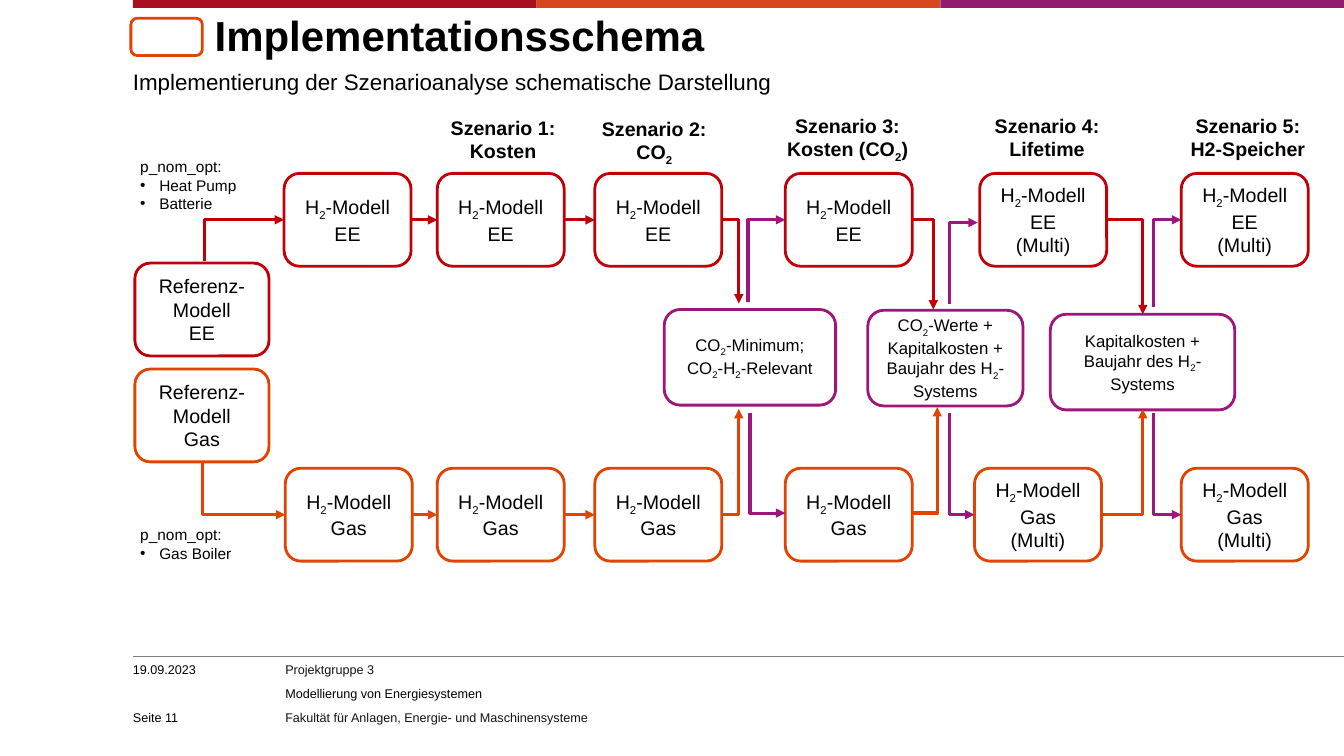
from lxml.etree import SubElement
from pptx import Presentation
from pptx.dml.color import RGBColor
from pptx.enum.shapes import MSO_CONNECTOR, MSO_SHAPE
from pptx.enum.text import MSO_ANCHOR, MSO_AUTO_SIZE, PP_ALIGN
from pptx.oxml.ns import qn
from pptx.util import Cm, Pt

COLORS = {
    "ee": "C00009", "gas": "E24300", "exchange": "9D167A",
    "strip_red": "AA0F1F", "strip_orange": "D7471F", "strip_purple": "901B6E",
    "rule": "808080", "white": "FFFFFF", "black": "000000", "footer": "141313",
}
FONT = "Arial"
PAGE_WIDTH, PAGE_HEIGHT, MARGIN = 33.87, 19.05, 3.35
MODEL_WIDTH, MODEL_HEIGHT = 3.2, 2.34
COLUMNS = [7.16, 11.02, 14.99, 19.79, 24.69, 29.77]
GAS_COLUMNS = [7.19, 11.02, 14.99, 19.79, 24.56, 29.77]
EE_TOP, GAS_TOP = 4.37, 11.8
EE_MIDDLE, GAS_MIDDLE = EE_TOP + MODEL_HEIGHT / 2, GAS_TOP + MODEL_HEIGHT / 2
LEFT_SIDE, RIGHT_SIDE = 1, 3

HEADINGS = [
    (10.9, 2.79, 3.56, ["Szenario 1:", "Kosten"]),
    (14.71, 2.82, 3.56, ["Szenario 2:", "CO₂"]),
    (19.2, 2.74, 4.32, ["Szenario 3:", "Kosten (CO₂)"]),
    (24.61, 2.74, 3.56, ["Szenario 4:", "Lifetime"]),
    (29.57, 2.74, 3.76, ["Szenario 5:", "H2-Speicher"]),
]
EXCHANGES = [
    (16.74, 7.8, 4.32, ["CO₂-Minimum; CO₂-H₂-Relevant"]),
    (21.87, 7.82, 3.91, ["CO₂-Werte +", "Kapitalkosten + Baujahr des H₂-Systems"]),
    (26.47, 7.92, 4.65, ["Kapitalkosten + Baujahr des H₂-Systems"]),
]
# From a model sideways, then up or down to an exchange box
INPUTS = [
    ("ee", (18.19, EE_MIDDLE), (18.62, 7.65)),
    ("gas", (18.19, GAS_MIDDLE), (18.62, 10.31)),
    ("ee", (22.99, EE_MIDDLE), (23.52, 7.8)),
    ("gas", (22.99, 12.93), (23.62, 10.26)),
    ("ee", (27.89, EE_MIDDLE), (28.8, 7.92)),
    ("gas", (27.74, GAS_MIDDLE), (28.8, 10.31)),
]
# Up or down first, then sideways into a model
OUTPUTS = [
    ("ee", (5.16, 6.58), (7.16, EE_MIDDLE)),
    ("gas", (5.11, 11.63), (7.19, GAS_MIDDLE)),
    ("exchange", (18.85, 7.62), (19.79, EE_MIDDLE)),
    ("exchange", (18.9, 10.41), (19.79, 12.93)),
    ("exchange", (23.93, 7.67), (24.64, 5.61)),
    ("exchange", (23.93, 10.41), (24.56, GAS_MIDDLE)),
    ("exchange", (29.08, 7.75), (29.77, EE_MIDDLE)),
    ("exchange", (29.08, 10.41), (29.77, GAS_MIDDLE)),
]


def rgb(name):
    return RGBColor.from_string(COLORS[name])


def place(shape, left, top, width, height):
    shape.left, shape.top = Cm(left), Cm(top)
    shape.width, shape.height = Cm(width), Cm(height)


def add_run(para, text, size, bold, color):
    span = para.add_run()
    span.text = text
    span.font.name, span.font.size, span.font.bold = FONT, Pt(size), bold
    span.font.color.rgb = rgb(color)
    return span


def write(frame, lines, size, align=PP_ALIGN.LEFT, bold=False, color="black"):
    """Write one paragraph per line; each ₂ becomes a lowered 2."""
    for number, line in enumerate(lines):
        para = frame.add_paragraph() if number else frame.paragraphs[0]
        para.alignment = align
        for index, part in enumerate(line.split("₂")):
            if index:
                lowered = add_run(para, "2", size, bold, color)
                lowered.font._element.set("baseline", "-25000")
            if part:
                add_run(para, part, size, bold, color)


def clear_margins(frame):
    frame.margin_left = frame.margin_right = frame.margin_top = frame.margin_bottom = 0


def add_text(page, left, top, width, height, lines, size, wrap=True, margins=True, **style):
    box = page.shapes.add_textbox(Cm(left), Cm(top), Cm(width), Cm(height))
    box.text_frame.word_wrap = wrap
    if not margins:
        clear_margins(box.text_frame)
    write(box.text_frame, lines, size, **style)
    return box


def add_strip(page, left, width, color):
    strip = page.shapes.add_shape(MSO_SHAPE.RECTANGLE, Cm(left), 0, Cm(width), Cm(0.2))
    strip.shadow.inherit = False
    strip.fill.solid()
    strip.fill.fore_color.rgb = rgb(color)
    strip.line.fill.background()


def add_box(page, left, top, width, height, color, lines=(), size=14):
    box = page.shapes.add_shape(
        MSO_SHAPE.ROUNDED_RECTANGLE, Cm(left), Cm(top), Cm(width), Cm(height))
    box.shadow.inherit = False
    box.fill.solid()
    box.fill.fore_color.rgb = rgb("white")
    box.line.color.rgb = rgb(color)
    box.line.width = Pt(2)
    box.text_frame.word_wrap = True
    box.text_frame.vertical_anchor = MSO_ANCHOR.MIDDLE
    write(box.text_frame, lines, size, PP_ALIGN.CENTER)
    return box


def add_line(page, start, end, color, width, kind=MSO_CONNECTOR.STRAIGHT, arrow=True):
    line = page.shapes.add_connector(kind, *(Cm(value) for value in start + end))
    line.line.color.rgb = rgb(color)
    line.line.width = Pt(width)
    if arrow:
        SubElement(line.line._get_or_add_ln(), qn("a:tailEnd"), type="triangle")
    SubElement(line._element.spPr, qn("a:effectLst"))
    return line


def add_bend(page, start, end, color, vertical_first=False):
    """Draw an arrow with a single right-angled corner."""
    line = add_line(page, start, end, color, 2.25, MSO_CONNECTOR.ELBOW)
    properties = line._element.spPr
    properties.find(qn("a:prstGeom")).set("prst", "bentConnector2")
    if vertical_first:
        upward = end[1] < start[1]
        across, along = end[0] - start[0], abs(end[1] - start[1])
        center_x, center_y = (start[0] + end[0]) / 2, (start[1] + end[1]) / 2
        place(line, center_x - along / 2, center_y - across / 2, along, across)
        frame = properties.find(qn("a:xfrm"))
        frame.set("rot", "5400000" if upward else "16200000")
        frame.set("flipH", "1")
        frame.set("flipV", "1" if upward else "0")


def add_model_row(page, lefts, top, color, name):
    """Draw six models and link the first three."""
    models = []
    for number, left in enumerate(lefts):
        lines = ["H₂-Modell", name] + (["(Multi)"] if number > 3 else [])
        models.append(add_box(page, left, top, MODEL_WIDTH, MODEL_HEIGHT, color, lines))
    middle = top + MODEL_HEIGHT / 2
    for number in range(2):
        link = add_line(page, (lefts[number] + MODEL_WIDTH, middle),
                        (lefts[number + 1], middle), color, 2.25)
        link.begin_connect(models[number], RIGHT_SIDE)
        link.end_connect(models[number + 1], LEFT_SIDE)


def fill_list(holder, top, height, items):
    place(holder, 3.28, top, 3.43, height)
    frame = holder.text_frame
    frame.auto_size = MSO_AUTO_SIZE.NONE
    write(frame, ["p_nom_opt:"] + items, 11)
    for number, para in enumerate(frame.paragraphs):
        para.space_before = Pt(0)
        properties = para._p.get_or_add_pPr()
        indent = Cm(0.48) if number else 0
        properties.set("marL", str(indent))
        properties.set("indent", str(-indent))
        if number:
            SubElement(properties, qn("a:buFont"), typeface=FONT)
            SubElement(properties, qn("a:buChar"), char="•")
        else:
            SubElement(properties, qn("a:buNone"))


def fill_title(title):
    place(title, 5.41, 0.46, 28.46, 1.19)
    frame = title.text_frame
    frame.auto_size = MSO_AUTO_SIZE.NONE
    frame.vertical_anchor = MSO_ANCHOR.TOP
    clear_margins(frame)
    write(frame, ["Implementationsschema"], 30, bold=True)
    frame.paragraphs[0].line_spacing = Pt(30)


def add_frame(page):
    """Draw the coloured strips at the top and the footer."""
    width = (PAGE_WIDTH - MARGIN) / 3
    for number, color in enumerate(["strip_red", "strip_orange", "strip_purple"]):
        add_strip(page, MARGIN + number * width, width, color)
    add_line(page, (MARGIN, 16.54), (PAGE_WIDTH, 16.54), "rule", 0.5, arrow=False)
    add_text(page, MARGIN, 16.69, 3.61, 0.51, ["19.09.2023"], 9, wrap=False, margins=False)
    number = add_text(page, MARGIN, 17.68, 2.69, 0.58, ["Seite 11"], 9, margins=False)
    number.text_frame.vertical_anchor = MSO_ANCHOR.BOTTOM
    footer = add_text(page, 7.19, 16.69, 16.41, 1.7, [
        "Projektgruppe 3", "Modellierung von Energiesystemen",
        "Fakultät für Anlagen, Energie- und Maschinensysteme",
    ], 9, wrap=False, margins=False, color="footer")
    for para in footer.text_frame.paragraphs:
        para.space_after = Pt(6)
    footer.text_frame.paragraphs[1].runs[0].font.color.rgb = rgb("black")


def main():
    deck = Presentation()
    deck.slide_width, deck.slide_height = Cm(PAGE_WIDTH), Cm(PAGE_HEIGHT)
    page = deck.slides.add_slide(deck.slide_layouts.get_by_name("Two Content"))
    add_frame(page)
    fill_title(page.shapes.title)
    fill_list(page.placeholders[1], 3.84, 1.68, ["Heat Pump", "Batterie"])
    fill_list(page.placeholders[2], 13.11, 1.19, ["Gas Boiler"])
    add_box(page, 3.3, 0.46, 1.8, 0.94, "gas")
    add_text(page, 3.1, 1.6, 16.79, 0.94,
             ["Implementierung der Szenarioanalyse schematische Darstellung"], 16, wrap=False)
    for left, top, width, lines in HEADINGS:
        add_text(page, left, top, width, 1.45, lines, 14, align=PP_ALIGN.CENTER, bold=True)
    for top, color, name in [(6.63, "ee", "EE"), (9.3, "gas", "Gas")]:
        add_box(page, 3.4, top, 3.38, MODEL_HEIGHT, color, ["Referenz-Modell", name])
    add_model_row(page, COLUMNS, EE_TOP, "ee", "EE")
    add_model_row(page, GAS_COLUMNS, GAS_TOP, "gas", "Gas")
    for left, top, width, lines in EXCHANGES:
        add_box(page, left, top, width, 2.41, "exchange", lines, 12)
    for color, start, end in INPUTS:
        add_bend(page, start, end, color)
    for color, start, end in OUTPUTS:
        add_bend(page, start, end, color, vertical_first=True)
    deck.save("out.pptx")


if __name__ == "__main__":
    main()
